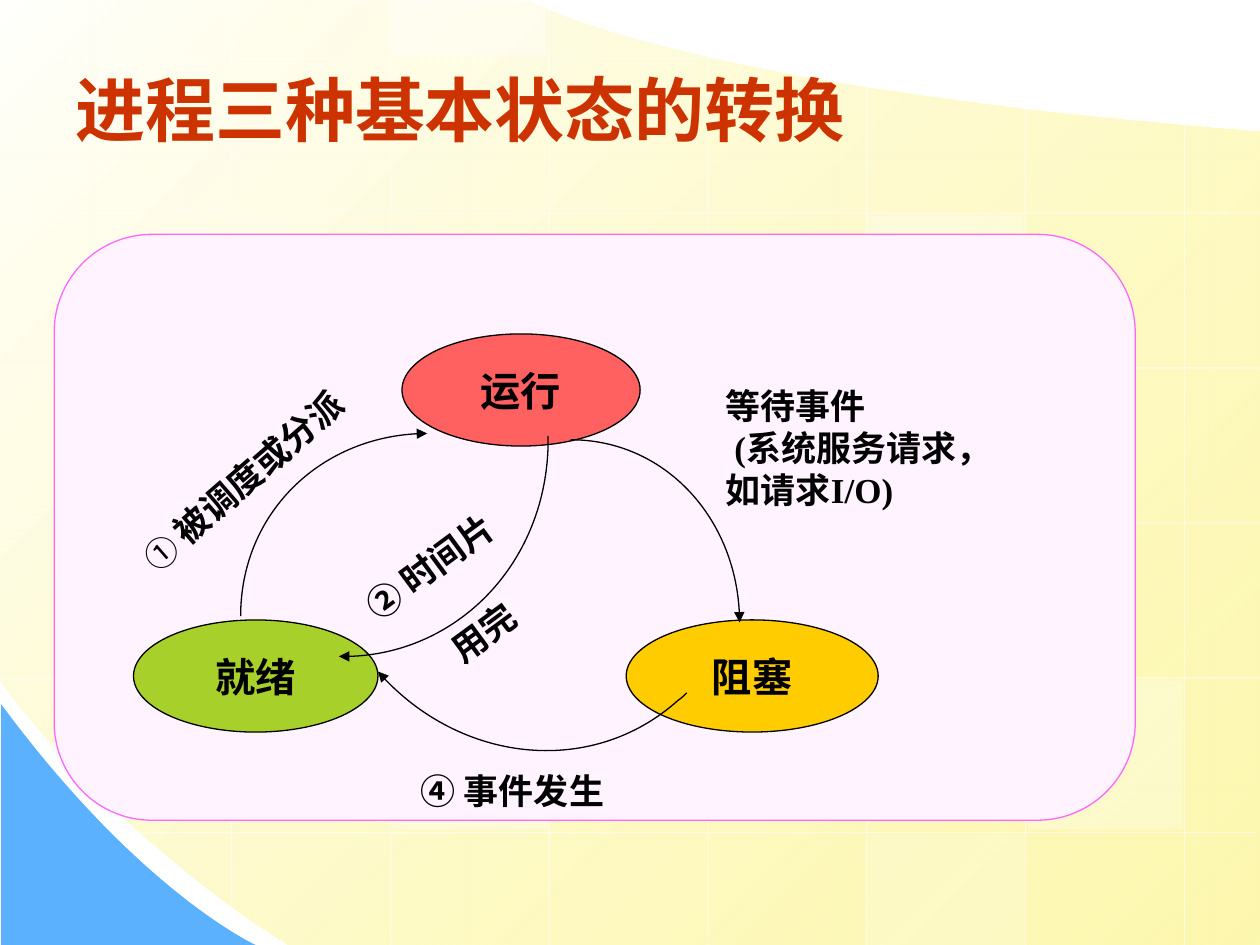
from itertools import islice

from lxml.etree import SubElement
from pptx import Presentation
from pptx.dml.color import RGBColor
from pptx.enum.shapes import MSO_CONNECTOR as Link, MSO_SHAPE as Kind
from pptx.enum.text import MSO_ANCHOR as Anchor, PP_ALIGN as Align
from pptx.oxml.ns import qn
from pptx.util import Inches, Pt

WHITE = RGBColor(0xFF, 0xFF, 0xFF)
BLACK = RGBColor(0x00, 0x00, 0x00)
CREAM = RGBColor(0xFF, 0xFF, 0xFB)
YELLOW = RGBColor(0xFD, 0xF5, 0x8D)
BLUE = RGBColor(0x5C, 0xB1, 0xFE)
RUST = RGBColor(0xCC, 0x33, 0x00)
PALE = RGBColor(0xFF, 0xF3, 0xFF)
PINK = RGBColor(0xFF, 0x66, 0xFF)
RED = RGBColor(0xFF, 0x61, 0x61)
GREEN = RGBColor(0xA8, 0xD0, 0x2A)
GOLD = RGBColor(0xFF, 0xCC, 0x00)

SANS, SERIF = "Arial", "Times New Roman"


def fade(node, alpha):
    """Make every colour under the node see-through."""
    for color in node.iter(qn("a:srgbClr")):
        SubElement(color, qn("a:alpha")).set("val", str(alpha * 1000))


def paint(shape, fill=None, line=None):
    shape.shadow.inherit = False
    if fill is None:
        shape.fill.background()
    else:
        shape.fill.solid()
        shape.fill.fore_color.rgb = fill
    if line is None:
        shape.line.fill.background()
    else:
        shape.line.color.rgb = line
        shape.line.width = Pt(0.75)


def place(box, left, top, *size):
    """Turn inches within a box into slide lengths."""
    return [Inches(n) for n in (box[0] + left, box[1] + top, *size)]


def write(shape, text, size=20, font=SERIF, color=BLACK, bold=True,
          align=Align.LEFT, wrap=False, inset=(0.07, 0.03), mark=None):
    """Fill a shape with text; mark holds (text, size, bold) of a lead run."""
    frame = shape.text_frame
    frame.word_wrap = wrap
    frame.vertical_anchor = Anchor.MIDDLE
    frame.margin_left = frame.margin_right = Inches(inset[0])
    frame.margin_top = frame.margin_bottom = Inches(inset[1])
    for i, row in enumerate(text.split("\n")):
        para = frame.add_paragraph() if i else frame.paragraphs[0]
        para.alignment = align
        parts = [(row, size, bold, font)]
        if mark and i == 0:
            parts.insert(0, (*mark, SANS))
        for words, points, heavy, face in parts:
            run = para.add_run()
            run.text = words
            run.font.size = Pt(points)
            run.font.bold = heavy
            run.font.name = face
            run.font.color.rgb = color


def outline(slide, box, start, parts, close=False):
    """Draw a path; a part of three points is a curve, of one a line."""
    build = slide.shapes.build_freeform(*place(box, *start), scale=1.0)
    build.add_line_segments(
        [place(box, *point) for part in parts for point in part], close=close)
    shape = build.convert_to_shape()
    steps = iter(list(shape.element.iter(qn("a:lnTo"))))
    for part in parts:
        nodes = list(islice(steps, len(part)))
        if len(part) == 3:
            nodes[0].tag = qn("a:cubicBezTo")
            for node in nodes[1:]:
                nodes[0].append(node[0])
                node.getparent().remove(node)
    return shape


def backdrop(slide, box):
    # Yellow sheet with curved edges
    sheet = outline(slide, box, (10, 1.04), [
        [(10, 4.27), (10, 7.5), (10, 7.5)],
        [(10, 7.5), (6.15, 7.5), (2.3, 7.5)],
        [(0.86, 6.61), (-0.01, 5.39), (0, 5.39)],
        [(-0.01, -0.01)],
        [(4.21, 0.01)],
        [(4.21, 0.01), (5.37, 0.69), (10, 1.04)]], close=True)
    paint(sheet)
    sheet.fill.gradient()
    sheet.fill.gradient_angle = 315
    for stop, color, spot in zip(sheet.fill.gradient_stops, (CREAM, YELLOW), (0, 1)):
        stop.color.rgb = color
        stop.position = spot
    fade(list(sheet.element.iter(qn("a:gs")))[-1], 70)

    # Blue corner
    corner = outline(slide, box, (0.01, 5.59), [
        [(0.01, 6.55), (0.01, 7.5), (0.01, 7.5)],
        [(2.03, 7.5)],
        [(2.03, 7.5), (1.12, 7.09), (0.01, 5.59)]], close=True)
    paint(corner, BLUE)

    # Grid, trimmed to the sheet
    tall = [(0, 6.09), (0, 7.19), (0, 7.5), (0, 7.5),
            (0.43, 7.5), (0.68, 7.5), (0.85, 7.5), (0.98, 7.5)]
    wide = [(0, 5.68)] + [(0, 10)] * 4 + [(1.11, 9.97)]
    ends = [(0.58 + 1.26 * i, a, 0.58 + 1.26 * i, b) for i, (a, b) in enumerate(tall)]
    ends += [(a, 0.46 + 1.23 * i, b, 0.46 + 1.23 * i) for i, (a, b) in enumerate(wide)]
    for x, y, right, low in ends:
        rule = slide.shapes.add_connector(
            Link.STRAIGHT, *place(box, x, y), *place(box, right, low))
        rule.line.color.rgb = WHITE
        rule.line.width = Pt(0.75)
        props = rule.element.spPr
        fade(props, 50)
        SubElement(props, qn("a:effectLst"))

    # Light tiles
    for left, top, high, alpha in [
            (8.16, 5.4, 1.18, 30), (6.9, 6.63, 0.87, 20), (3.11, 0, 0.44, 40),
            (3.12, 5.4, 1.18, 30), (6.89, 1.71, 1.18, 30)]:
        tile = slide.shapes.add_shape(
            Kind.RECTANGLE, *place(box, left, top, 1.23, high))
        paint(tile, WHITE)
        fade(tile.element.spPr, alpha)


def heading(slide, box):
    area = slide.shapes.add_textbox(*place(box, 0, 0, 9, 1.01))
    write(area, "进程三种基本状态的转换", size=40, font=SANS, color=RUST,
          wrap=True, inset=(0.1, 0.05))


def arrow(slide, box, start, *curves):
    arc = outline(slide, box, start, curves)
    paint(arc, line=BLACK)
    SubElement(arc.line._get_or_add_ln(), qn("a:tailEnd")).set("type", "triangle")


def label(slide, box, spot, text, turn=0, **style):
    area = slide.shapes.add_textbox(*place(box, *spot))
    area.rotation = turn
    write(area, text, **style)


def diagram(slide, box):
    # Panel
    panel = slide.shapes.add_shape(
        Kind.ROUNDED_RECTANGLE, *place(box, 0, 0, 8.58, 4.65))
    panel.adjustments[0] = 0.167
    paint(panel, PALE, PINK)

    # States
    for text, left, top, width, color in [
            ("运行", 2.76, 0.79, 1.89, RED),
            ("就绪", 0.63, 3.06, 1.94, GREEN),
            ("阻塞", 4.54, 3.06, 2, GOLD)]:
        state = slide.shapes.add_shape(
            Kind.OVAL, *place(box, left, top, width, 0.89))
        paint(state, color, BLACK)
        write(state, text, size=23, align=Align.CENTER)

    # Running to blocked
    arrow(slide, box, (4.1, 1.63), [(4.84, 1.63), (5.44, 2.28), (5.44, 3.08)])
    label(slide, box, (5.26, 1.18, 2.07, 1.03),
          "等待事件\n (系统服务请求，\n如请求I/O)")

    # Ready to running
    arrow(slide, box, (1.48, 3.03), [(1.48, 2.22), (2.14, 1.58), (2.96, 1.58)])
    label(slide, box, (0.4, 1.58, 2.39, 0.58), "被调度或分派",
          turn=319, mark=("➀ ", 19, False))

    # Running to ready
    arrow(slide, box, (3.92, 1.6), [(3.92, 1.63), (3.92, 1.66), (3.92, 1.69)],
          [(3.89, 2.63), (3.15, 3.37), (2.26, 3.35)])
    label(slide, box, (2.29, 2.18, 1.61, 0.73), " 时间片",
          turn=323.5, mark=("➁", 20, True))
    label(slide, box, (3.04, 2.73, 0.9, 0.73), "用完", turn=323.5)

    # Blocked to ready
    arrow(slide, box, (5.02, 3.64), [(5, 3.66), (4.98, 3.68), (4.95, 3.7)],
          [(4.28, 4.3), (3.21, 4.2), (2.57, 3.47)])
    label(slide, box, (2.84, 4.11, 1.97, 0.61), " 事件发生",
          mark=("➃", 20, True))


def main():
    deck = Presentation()
    deck.slide_width, deck.slide_height = Inches(10), Inches(7.5)
    slide = deck.slides.add_slide(deck.slide_layouts[6])
    backdrop(slide, (0, 0))
    heading(slide, (0.5, 0.36))
    diagram(slide, (0.43, 1.86))
    deck.save("out.pptx")


if __name__ == "__main__":
    main()
